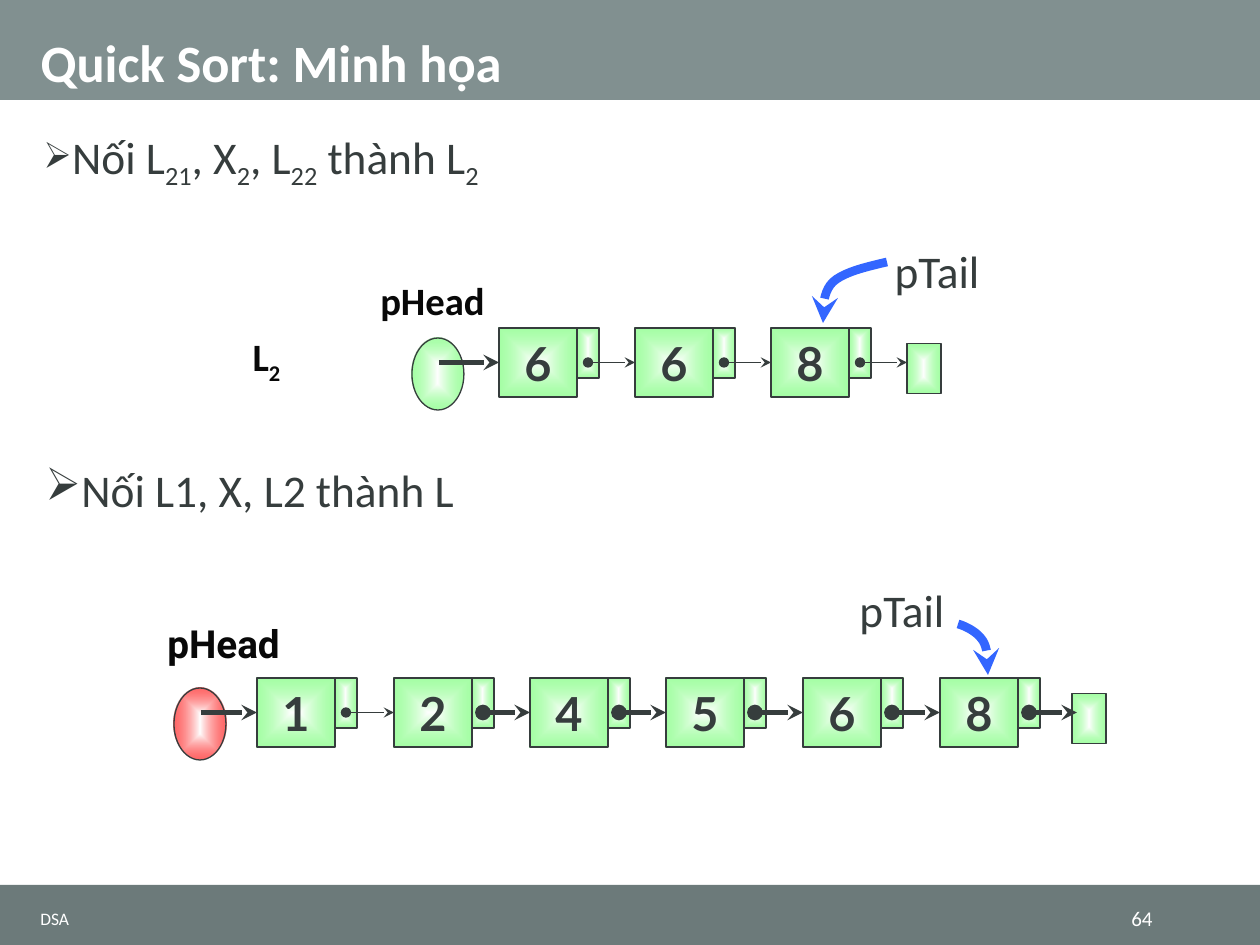
from pptx import Presentation
from pptx.dml.color import RGBColor
from pptx.enum.shapes import MSO_CONNECTOR, MSO_SHAPE
from pptx.enum.text import MSO_ANCHOR, PP_ALIGN
from pptx.oxml.ns import qn
from pptx.util import Emu, Pt
from lxml.etree import SubElement

INK, BLACK, WHITE = "363D3D", "080808", "FFFFFF"
GREEN, RED, BLUE = "69FF69", "FF0000", "3366FF"
HEADER, FOOTER = "819090", "6C7A7A"


def px(length):
    return Emu(round(length * 914400 / 126))


def rgb(value):
    return RGBColor.from_string(value)


class SlideBuilder:
    font = "Calibri"
    thin, heavy = 0.75, 3

    def __init__(self, slide):
        self.slide = slide
        self.shapes = slide.shapes

    def add_runs(self, paragraph, runs, size, color, bold=False, font=None):
        """Add the runs one by one; a run given as a tuple is a subscript."""
        for item in runs:
            subscript = isinstance(item, tuple)
            run = paragraph.add_run()
            run.text = item[0] if subscript else item
            run.font.name = font or self.font
            run.font.size = Pt(size)
            run.font.bold = bold
            run.font.color.rgb = rgb(color)
            if subscript:
                run.font._element.set("baseline", "-25000")

    def title(self, text, left, top, width, height):
        shape = self.shapes.title
        shape.left, shape.top, shape.width, shape.height = map(px, (left, top, width, height))
        shape.text_frame.vertical_anchor = MSO_ANCHOR.BOTTOM
        paragraph = shape.text_frame.paragraphs[0]
        paragraph.alignment = PP_ALIGN.LEFT
        paragraph.line_spacing = 0.9
        self.add_runs(paragraph, [text], 30, WHITE, bold=True)

    def band(self, top, height, color):
        """Full-width bar, placed behind everything else."""
        shape = self.shapes.add_shape(MSO_SHAPE.RECTANGLE, 0, px(top), px(1260), px(height))
        shape.shadow.inherit = False
        shape.fill.solid()
        shape.fill.fore_color.rgb = rgb(color)
        shape.line.fill.background()
        self.shapes._spTree.insert(2, shape._element)

    def text(self, runs, left, top, width, height, size, color=INK, bold=False, font=None,
             align=PP_ALIGN.CENTER, anchor=MSO_ANCHOR.TOP, inset=False):
        box = self.shapes.add_textbox(px(left), px(top), px(width), px(height))
        frame = box.text_frame
        frame.word_wrap = True
        frame.vertical_anchor = anchor
        if not inset:
            frame.margin_left = frame.margin_right = frame.margin_top = frame.margin_bottom = 0
        paragraph = frame.paragraphs[0]
        paragraph.alignment = align
        self.add_runs(paragraph, runs, size, color, bold, font)
        return paragraph

    def bullet(self, runs, left, top, width, height, percent=100, margin=0, indent=0):
        paragraph = self.text([], left, top, width, height, 25.9, align=PP_ALIGN.LEFT, inset=True)
        properties = paragraph._p.get_or_add_pPr()
        properties.set("marL", str(px(margin)))
        properties.set("indent", str(px(indent)))
        SubElement(properties, qn("a:buSzPct"), val=str(percent * 1000))
        SubElement(properties, qn("a:buChar"), char="➢")
        self.add_runs(paragraph, runs, 25.9, INK)

    def glow(self, kind, left, top, width, height, color=GREEN):
        """Outlined shape that fades from white in the middle to a colour."""
        shape = self.shapes.add_shape(kind, px(left), px(top), px(width), px(height))
        shape.shadow.inherit = False
        shape.line.color.rgb = rgb(INK)
        shape.line.width = Pt(self.thin)
        shape.fill.gradient()
        for stop, position, value in zip(shape.fill.gradient_stops, (0, 1), (WHITE, color)):
            stop.position = position
            stop.color.rgb = rgb(value)
        gradient = shape._element.spPr.find(qn("a:gradFill"))
        edge_color = gradient.findall(".//" + qn("a:srgbClr"))[1]
        SubElement(edge_color, qn("a:alpha"), val="60000")
        direction = gradient.find(qn("a:lin"))
        route = SubElement(gradient, qn("a:path"))
        route.set("path", "shape")
        SubElement(route, qn("a:fillToRect"), l="50000", t="50000", r="50000", b="50000")
        gradient.replace(direction, route)
        return shape

    def node(self, value, left, top):
        """List node: a narrow pointer field and the value cell."""
        self.glow(MSO_SHAPE.RECTANGLE, left + 78, top, 22, 50)
        cell = self.glow(MSO_SHAPE.RECTANGLE, left, top, 78, 69)
        frame = cell.text_frame
        frame.margin_top = frame.margin_bottom = 0
        frame.vertical_anchor = MSO_ANCHOR.MIDDLE
        paragraph = frame.paragraphs[0]
        paragraph.alignment = PP_ALIGN.CENTER
        self.add_runs(paragraph, [value], 26.8, INK, bold=True, font="Lato")
        return cell

    def arrow(self, start, end, y, weight, dot=True, target=None):
        line = self.shapes.add_connector(MSO_CONNECTOR.STRAIGHT, px(start), px(y), px(end), px(y))
        if target is not None:
            line.end_connect(target, 1)
        line.line.color.rgb = rgb(INK)
        line.line.width = Pt(weight)
        outline = line.line._get_or_add_ln()
        if dot:
            SubElement(outline, qn("a:headEnd"), type="oval")
        SubElement(outline, qn("a:tailEnd"), type="stealth")
        SubElement(line._element.spPr, qn("a:effectLst"))

    def curved_arrow(self, start, *curves, steps=10):
        """Arrow along cubic curves, each given as two controls and an end."""
        points, origin = [], start
        for curve in curves:
            corners = (origin, *curve)
            for step in range(1, steps + 1):
                t = step / steps
                weights = ((1 - t) ** 3, 3 * t * (1 - t) ** 2, 3 * t * t * (1 - t), t ** 3)
                points.append(tuple(px(sum(w * corner[axis] for w, corner in zip(weights, corners)))
                                    for axis in (0, 1)))
            origin = curve[-1]
        builder = self.shapes.build_freeform(px(start[0]), px(start[1]))
        builder.add_line_segments(points, close=False)
        shape = builder.convert_to_shape()
        shape.shadow.inherit = False
        shape.fill.background()
        shape.line.color.rgb = rgb(BLUE)
        shape.line.width = Pt(5)
        SubElement(shape.line._get_or_add_ln(), qn("a:tailEnd"), type="stealth")

    def linked_list(self, values, left, top, pitch, null_left, weights, head_left,
                    head_color=GREEN, overshoot=0):
        """Head pointer, evenly spaced nodes, end box and the links between them."""
        middle = top + 34.5
        self.glow(MSO_SHAPE.OVAL, head_left, top + 10, 52, 72, head_color)
        self.glow(MSO_SHAPE.RECTANGLE, null_left, top + 15.5, 34, 50)
        lefts = [round(left + index * pitch) for index in range(len(values))]
        cells = [self.node(value, x, top) for value, x in zip(values, lefts)]
        self.arrow(head_left + 27, left, middle, self.heavy, dot=False, target=cells[0])
        ends = lefts[1:] + [null_left + overshoot]
        for x, end, weight, target in zip(lefts, ends, weights, cells[1:] + [None]):
            self.arrow(x + 89, end, middle, weight, target=target)


def main():
    presentation = Presentation()
    presentation.slide_width, presentation.slide_height = px(1260), px(945)
    builder = SlideBuilder(presentation.slides.add_slide(presentation.slide_layouts[5]))

    # Title and bands
    builder.band(0, 100, HEADER)
    builder.band(885, 60, FOOTER)
    builder.title("Quick Sort: Minh họa", 28, 0, 1206, 100)

    # Joining the parts of L2
    builder.bullet(["Nối L", ("21",), ", X", ("2",), ", L", ("22",), " thành L", ("2",)],
                   28, 123, 1206, 76, percent=80, margin=21, indent=-18)
    builder.linked_list("668", 499, 328, 136, 907, [builder.thin] * 3, 412)
    builder.text(["pHead"], 364, 277, 137, 55, 22.1, BLACK, bold=True)
    builder.text(["L", ("2",)], 181, 333, 171, 48, 22.1, BLACK, bold=True)
    builder.text(["pTail"], 887, 243, 100, 49, 25.9)
    builder.curved_arrow((887, 262), ((866, 267), (844, 272), (833, 282)),
                         ((823, 292), (823, 307), (823, 323)))

    # Joining the whole list L
    builder.bullet(["Nối L1, X, L2 thành L"], 33, 456, 1045, 68)
    builder.linked_list("124568", 257, 678, 136.5, 1072, [builder.thin] + [builder.heavy] * 5,
                        174, RED, overshoot=5)
    builder.text(["pHead"], 155, 620, 137, 53, 22.1, BLACK, bold=True, font="Roboto")
    builder.text(["pTail"], 852, 582, 100, 49, 25.9)
    builder.curved_arrow((958, 624), ((968, 627), (978, 633), (983, 641)),
                         ((988, 649), (988, 663), (988, 675)))

    # Footer
    builder.text(["DSA"], 28, 902, 876, 33, 10, WHITE, align=PP_ALIGN.LEFT,
                 anchor=MSO_ANCHOR.MIDDLE, inset=True)
    builder.text(["64"], 1067, 902, 98, 33, 12, WHITE, align=PP_ALIGN.RIGHT,
                 anchor=MSO_ANCHOR.MIDDLE, inset=True)

    presentation.save("out.pptx")


if __name__ == "__main__":
    main()
